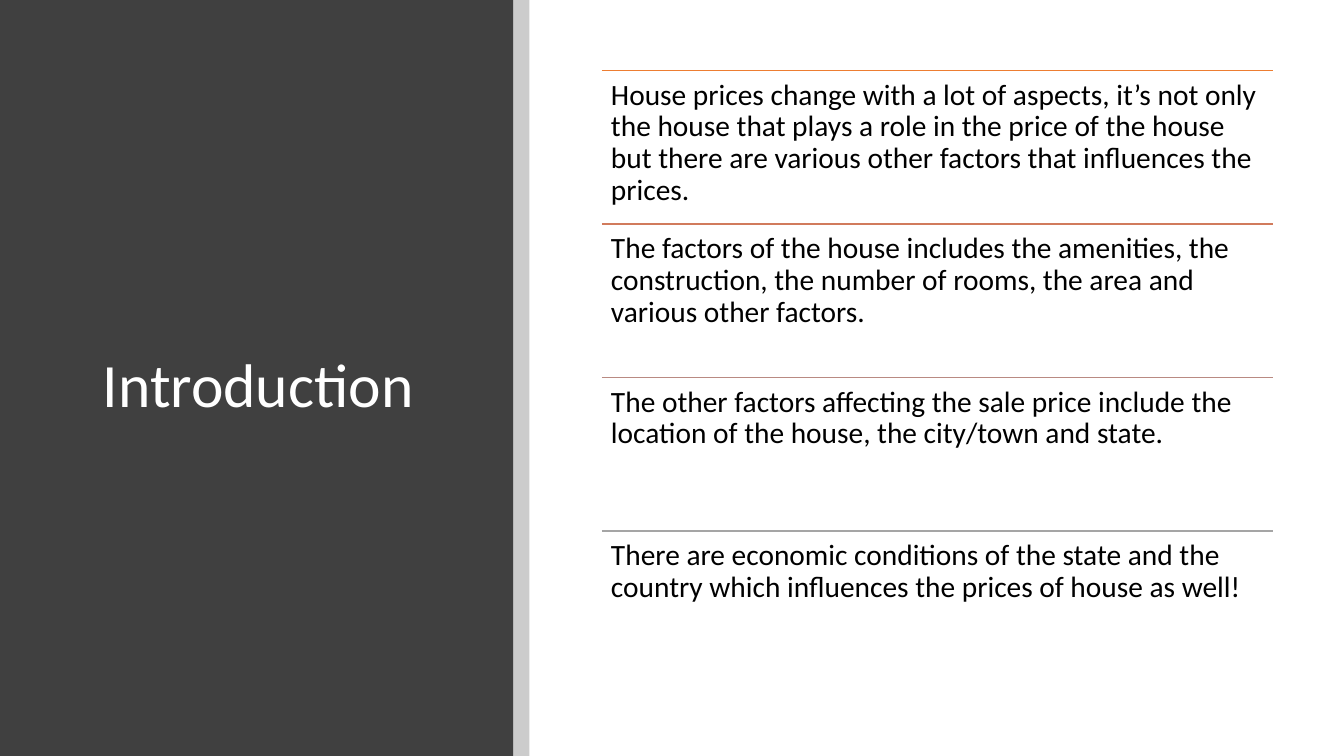
from lxml import etree
from pptx import Presentation
from pptx.dml.color import RGBColor
from pptx.enum.shapes import MSO_CONNECTOR as Connector, MSO_SHAPE as Shape
from pptx.enum.text import MSO_ANCHOR as Anchor, PP_ALIGN as Align
from pptx.oxml.ns import qn
from pptx.util import Inches, Pt

WIDTH, HEIGHT = 13.33, 7.5
PANEL_WIDTH, STRIP_WIDTH = 5.09, 0.16
LIST_LEFT, LIST_TOP, LIST_WIDTH = 5.97, 0.7, 6.66
ROW_HEIGHT = 1.523

FACTORS = [
    ("ED7D31", "House prices change with a lot of aspects, it’s not only the house that plays "
               "a role in the price of the house but there are various other factors that "
               "influences the prices."),
    ("D17B5C", "The factors of the house includes the amenities, the construction, the number "
               "of rooms, the area and various other factors."),
    ("B98A82", "The other factors affecting the sale price include the location of the house, "
               "the city/town and state."),
    ("A5A5A5", "There are economic conditions of the state and the country which influences "
               "the prices of house as well!"),
]


def paint(color_format, hex_color):
    color_format.rgb = RGBColor.from_string(hex_color)


def add_text(page, bounds, text, size, hex_color, anchor, inset):
    """Add a wrapped, left-aligned text box and return its paragraph."""
    box = page.shapes.add_textbox(*map(Inches, bounds))
    frame = box.text_frame
    frame.word_wrap = True
    frame.vertical_anchor = anchor
    frame.margin_left = frame.margin_right = Inches(inset)
    frame.margin_top = frame.margin_bottom = Inches(inset)
    para = frame.paragraphs[0]
    para.alignment = Align.LEFT
    para.line_spacing = 0.9
    span = para.add_run()
    span.text = text
    span.font.name = "Calibri"
    span.font.size = Pt(size)
    paint(span.font.color, hex_color)
    return para


deck = Presentation()
deck.slide_width, deck.slide_height = Inches(WIDTH), Inches(HEIGHT)
page = deck.slides.add_slide(deck.slide_layouts[6])

# Dark title panel with a translucent strip along its right edge
for left, width, hex_color, opacity in [
    (0, PANEL_WIDTH, "404040", 100),
    (PANEL_WIDTH, STRIP_WIDTH, "000000", 20),
]:
    panel = page.shapes.add_shape(
        Shape.RECTANGLE, Inches(left), 0, Inches(width), deck.slide_height)
    panel.shadow.inherit = False
    panel.line.fill.background()
    panel.fill.solid()
    paint(panel.fill.fore_color, hex_color)
    if opacity < 100:
        color = panel.fill._xPr.find(qn("a:solidFill"))[0]
        etree.SubElement(color, qn("a:alpha"), val=str(opacity * 1000))

add_text(page, (0.92, 0.89, 3.65, 5.91), "Introduction", 44, "FFFFFF", Anchor.MIDDLE, 0.1)

# One ruled row per factor
for row, (hex_color, text) in enumerate(FACTORS):
    top = LIST_TOP + row * ROW_HEIGHT
    rule = page.shapes.add_connector(
        Connector.STRAIGHT, Inches(LIST_LEFT), Inches(top),
        Inches(LIST_LEFT + LIST_WIDTH), Inches(top))
    rule.line.width = Pt(1)
    paint(rule.line.color, hex_color)
    etree.SubElement(rule._element.spPr, qn("a:effectLst"))
    para = add_text(page, (LIST_LEFT, top, LIST_WIDTH, ROW_HEIGHT), text, 21, "000000",
                    Anchor.TOP, 0.09)
    para.space_after = Pt(0.35 * 21)

deck.save("out.pptx")
